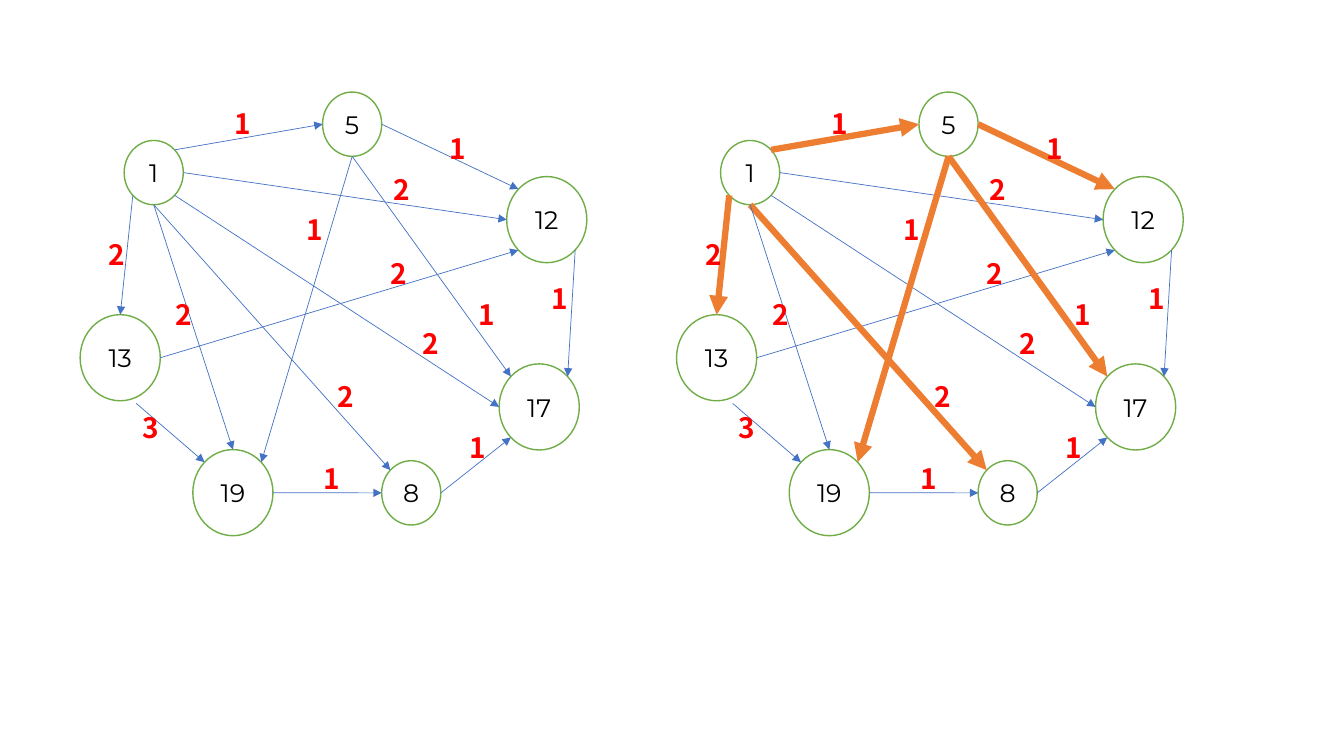
from lxml import etree
from pptx import Presentation
from pptx.dml.color import RGBColor
from pptx.enum.shapes import MSO_CONNECTOR, MSO_SHAPE
from pptx.enum.text import MSO_ANCHOR, MSO_AUTO_SIZE, PP_ALIGN
from pptx.oxml.ns import qn
from pptx.util import Cm, Pt

ELLIPSE = MSO_SHAPE.OVAL
STRAIGHT = MSO_CONNECTOR.STRAIGHT
MIDDLE = MSO_ANCHOR.MIDDLE
CENTER = PP_ALIGN.CENTER
GROW = MSO_AUTO_SIZE.SHAPE_TO_FIT_TEXT

WHITE, BLACK, GREEN = "FFFFFF", "000000", "70AD47"
BLUE, ORANGE, RED = "4472C4", "ED7D31", "FF0000"

# Node sizes and label size, in cm
SMALL, LARGE = (1.49, 1.62), (2.02, 2.17)
LABEL_WIDTH, LABEL_HEIGHT = 1.55, 1.11

# Left edges of the two graphs: plain, and with its spanning tree
GRAPH_SHIFT = 15.03

# Number: left, top, size
NODES = {
    1: (3.13, 3.54, SMALL),
    5: (8.13, 2.32, SMALL),
    12: (12.77, 4.45, LARGE),
    17: (12.58, 9.17, LARGE),
    8: (9.62, 11.61, SMALL),
    19: (4.86, 11.33, LARGE),
    13: (2.02, 7.93, LARGE),
}

# Points on a node as fractions of its width and height
NEAR, FAR = 0.146, 0.854
PORTS = {
    "left": (0, 0.5), "right": (1, 0.5), "bottom": (0.5, 1),
    "top left": (NEAR, NEAR), "top right": (FAR, NEAR),
    "bottom left": (NEAR, FAR), "bottom right": (FAR, FAR),
    "top": (0.5, 0), "below": (0.7, 1.03),
}

# From, port, to, port, weight, label centre, label top
EDGES = [
    (1, "bottom left", 13, "top", 2, 2.95, 5.87),
    (13, "below", 19, "top left", 3, 3.80, 10.21),
    (19, "right", 8, "left", 1, 8.37, 11.51),
    (8, "right", 17, "bottom left", 1, 12.03, 10.72),
    (12, "bottom right", 17, "top right", 1, 14.11, 6.96),
    (5, "right", 12, "top left", 1, 11.54, 3.18),
    (1, "top right", 5, "left", 1, 6.13, 2.57),
    (1, "right", 12, "left", 2, 10.12, 4.22),
    (1, "bottom right", 17, "left", 2, 10.86, 8.10),
    (13, "right", 12, "bottom left", 2, 10.05, 6.35),
    (1, "bottom", 8, "top left", 2, 8.72, 9.45),
    (1, "bottom", 19, "top", 2, 4.64, 7.37),
    (5, "bottom", 19, "top right", 1, 7.94, 5.23),
    (5, "bottom", 17, "top left", 1, 12.26, 7.37),
]
TREE = {(1, 13), (1, 5), (1, 8), (5, 12), (5, 17), (5, 19)}


def color(hex_value):
    return RGBColor.from_string(hex_value)


def write(frame, text, font_name, size, hex_value, bold=False):
    paragraph = frame.paragraphs[0]
    paragraph.text = str(text)
    paragraph.alignment = CENTER
    paragraph.font.name = font_name
    paragraph.font.size = Pt(size)
    paragraph.font.bold = bold
    paragraph.font.color.rgb = color(hex_value)


def add_node(graph, number, shift):
    left, top, (width, height) = NODES[number]
    node = graph.shapes.add_shape(
        ELLIPSE, Cm(left + shift), Cm(top), Cm(width), Cm(height))
    node.shadow.inherit = False
    node.fill.solid()
    node.fill.fore_color.rgb = color(WHITE)
    node.line.color.rgb = color(GREEN)
    node.line.width = Pt(1)
    node.text_frame.word_wrap = False
    node.text_frame.vertical_anchor = MIDDLE
    write(node.text_frame, number, "Montserrat", 18, BLACK)


def port_point(number, port, shift):
    left, top, (width, height) = NODES[number]
    across, down = PORTS[port]
    return Cm(left + shift + across * width), Cm(top + down * height)


def add_arrow(graph, start, end, hex_value, weight):
    arrow = graph.shapes.add_connector(STRAIGHT, *start, *end)
    arrow.line.color.rgb = color(hex_value)
    arrow.line.width = Pt(weight)
    properties = arrow.element.spPr
    line = properties.find(qn("a:ln"))
    etree.SubElement(line, qn("a:tailEnd"), type="triangle")
    etree.SubElement(properties, qn("a:effectLst"))


def add_weight(graph, weight, center, top):
    label = graph.shapes.add_textbox(
        Cm(center - LABEL_WIDTH / 2), Cm(top), Cm(LABEL_WIDTH), Cm(LABEL_HEIGHT))
    label.text_frame.word_wrap = True
    label.text_frame.auto_size = GROW
    write(label.text_frame, weight, "Noto Sans CJK JP", 20, RED, bold=True)


def add_graph(slide, shift, highlighted):
    graph = slide.shapes.add_group_shape()
    for number in NODES:
        add_node(graph, number, shift)
    for source, source_port, target, target_port, *_ in EDGES:
        in_tree = (source, target) in highlighted
        add_arrow(graph,
                  port_point(source, source_port, shift),
                  port_point(target, target_port, shift),
                  ORANGE if in_tree else BLUE,
                  4.5 if in_tree else 0.5)
    for *_, weight, center, top in EDGES:
        add_weight(graph, weight, center + shift, top)


def main():
    deck = Presentation()
    deck.slide_width, deck.slide_height = Cm(33.87), Cm(19.05)
    slide = deck.slides.add_slide(deck.slide_layouts[6])

    # Spanning tree on the right, plain graph on the left
    add_graph(slide, GRAPH_SHIFT, TREE)
    add_graph(slide, 0, set())

    deck.save("out.pptx")


if __name__ == "__main__":
    main()
